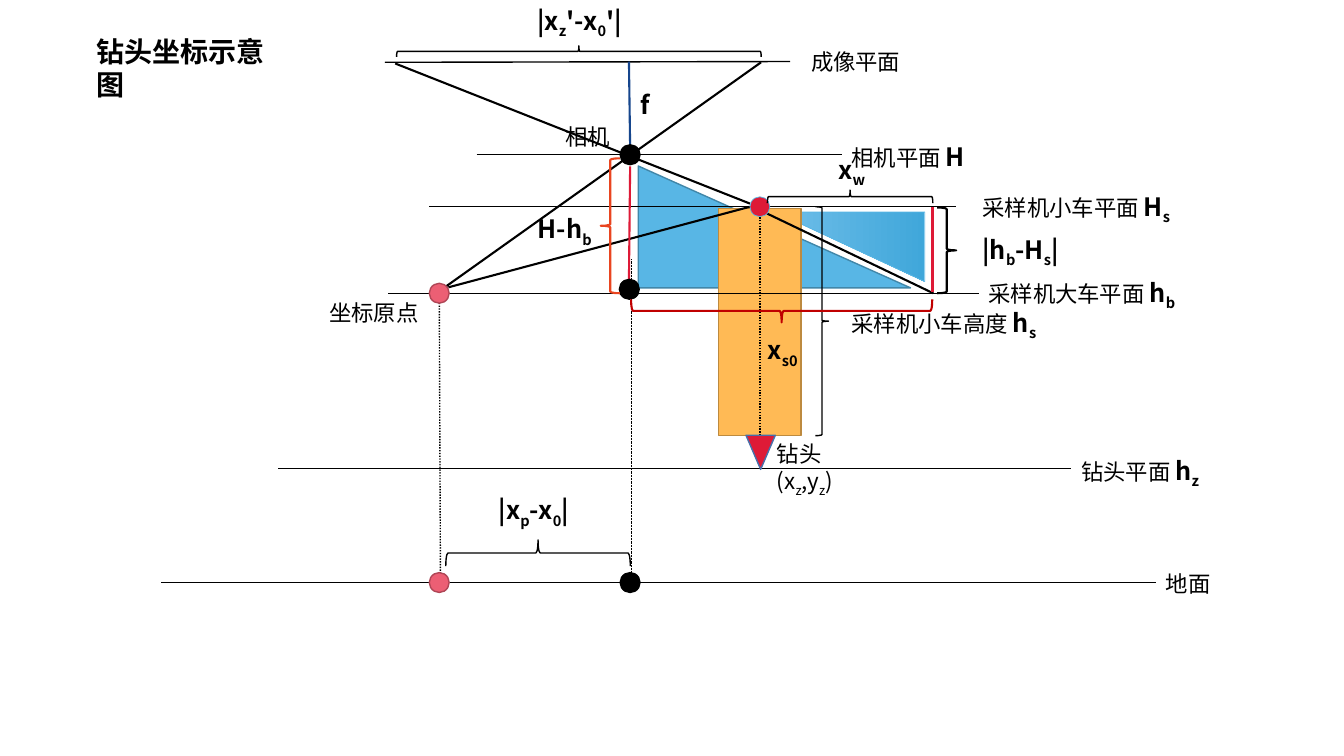
from lxml.etree import SubElement
from pptx import Presentation
from pptx.dml.color import RGBColor
from pptx.enum.dml import MSO_LINE as Dash
from pptx.enum.shapes import MSO_CONNECTOR as Link, MSO_SHAPE as Form
from pptx.enum.text import MSO_AUTO_SIZE as Auto, PP_ALIGN as Align
from pptx.oxml.ns import qn
from pptx.util import Cm, Pt

BLACK = RGBColor(0x00, 0x00, 0x00)
RED = RGBColor(0xDE, 0x1A, 0x37)
CRIMSON = RGBColor(0xC0, 0x00, 0x00)
CORAL = RGBColor(0xE9, 0x45, 0x20)
NAVY = RGBColor(0x16, 0x46, 0x8D)
PINK = RGBColor(0xEC, 0x5F, 0x74)
ROSE = RGBColor(0xAF, 0x46, 0x56)
SKY = RGBColor(0x58, 0xB6, 0xE5)
PALE = RGBColor(0x6F, 0xBE, 0xE9)
DEEP = RGBColor(0x40, 0xA7, 0xDA)
TEAL = RGBColor(0x41, 0x87, 0xA9)
STEEL = RGBColor(0x47, 0x6F, 0xAA)
AMBER = RGBColor(0xFF, 0xBA, 0x55)
BROWN = RGBColor(0xBD, 0x8A, 0x3F)

ARIAL, NOTO = "Arial", "Noto Sans CJK SC"
PLAIN = {"size": Pt(16), "bold": False}
MATH = {"size": Pt(18), "bold": True, "name": NOTO}
TITLE = {"size": Pt(20), "bold": True, "name": ARIAL}

deck = Presentation()
deck.slide_width, deck.slide_height = Cm(33.87), Cm(19.05)
slide = deck.slides.add_slide(deck.slide_layouts[6])
shapes = slide.shapes


def draw(form, box, fill, edge, width=1, turn=0, flip=""):
    shape = shapes.add_shape(form, *map(Cm, box))
    shape.shadow.inherit = False
    shape.rotation = turn
    for axis in flip:
        shape._element.spPr.get_or_add_xfrm().set("flip" + axis, "1")
    if fill is None:
        shape.fill.background()
    else:
        shape.fill.solid()
        shape.fill.fore_color.rgb = fill
    shape.line.color.rgb = edge
    shape.line.width = Pt(width)
    return shape


def write(box, parts, align=Align.LEFT):
    text = shapes.add_textbox(*map(Cm, box)).text_frame
    text.word_wrap = True
    text.auto_size = Auto.SHAPE_TO_FIT_TEXT
    para = text.paragraphs[0]
    para.alignment = align
    for words, style in parts:
        for i, piece in enumerate(words.split("_")):
            if not piece:
                continue
            run = para.add_run()
            run.text = piece
            for key, value in style.items():
                setattr(run.font, key, value)
            run.font.color.rgb = BLACK
            props = run._r.get_or_add_rPr()
            SubElement(props, qn("a:ea")).set("typeface", NOTO)
            if i % 2:
                props.set("baseline", "-25000")


draw(Form.RIGHT_TRIANGLE, (17.98, 2.29, 3.07, 6.86), SKY, TEAL, 1, 270, "V")
wedge = draw(Form.RIGHT_TRIANGLE, (20.55, 4.34, 1.75, 3.76), SKY, SKY, 0.5, 270, "H")
wedge.fill.gradient()
wedge.fill.gradient_angle = 270
for stop, shade in zip(wedge.fill.gradient_stops, (PALE, DEEP)):
    stop.color.rgb = shade
draw(Form.RECTANGLE, (18.11, 5.26, 2.08, 5.72), AMBER, BROWN)

planes = [
    (12.01, 21.21, 3.89), (10.82, 24.08, 5.21), (9.78, 24.66, 7.39),
    (7.01, 27, 11.81), (4.06, 29.13, 14.68),
]
lines = [(left, y, right, y, BLACK, 1, None) for left, right, y in planes]
lines += [
    (9.7, 1.57, 19.91, 1.55, BLACK, 1, None),
    (11.25, 7.21, 19.18, 1.57, BLACK, 1.5, None),
    (18.9, 5.13, 9.96, 1.6, BLACK, 1.5, None),
    (11.3, 7.24, 18.9, 5.21, BLACK, 1.5, None),
    (19.33, 5.38, 23.52, 7.39, BLACK, 1.5, None),
    (15.88, 4.19, 15.85, 7.04, RED, 1.5, None),
    (23.5, 7.37, 23.5, 5.21, RED, 1.5, None),
    (15.88, 3.71, 15.85, 1.55, NAVY, 1.5, None),
    (11.07, 7.42, 11.1, 14.68, BLACK, 1, Dash.ROUND_DOT),
    (15.9, 6.53, 15.9, 14.68, BLACK, 0.5, Dash.ROUND_DOT),
    (19.15, 10.97, 19.15, 5.18, BLACK, 1, Dash.ROUND_DOT),
]
for *ends, shade, width, dash in lines:
    line = shapes.add_connector(Link.STRAIGHT, *map(Cm, ends))
    line.line.color.rgb = shade
    line.line.width = Pt(width)
    if dash:
        line.line.dash_style = dash
    SubElement(line._element.spPr, qn("a:effectLst"))

SIZE = 0.5
for x, y, fill, edge, width in [
    (11.07, 7.39, PINK, ROSE, 1),
    (11.07, 14.68, PINK, ROSE, 1),
    (15.88, 3.9, BLACK, BLACK, 1),
    (15.86, 7.29, BLACK, BLACK, 1),
    (15.88, 14.68, BLACK, BLACK, 1),
    (19.15, 5.21, RED, SKY, 0.5),
]:
    draw(Form.OVAL, (x - SIZE / 2, y - SIZE / 2, SIZE, SIZE), fill, edge, width)
draw(Form.ISOSCELES_TRIANGLE, (18.8, 10.97, 0.74, 0.86), RED, STEEL, flip="V")

for box, *look in [
    ((14.45, -3.3, 0.28, 9.19), BLACK, 1, 270),
    ((13.23, 11.61, 0.66, 4.65), BLACK, 1, 270),
    ((21.26, 2.87, 0.33, 4.17), BLACK, 1, 270),
    ((20.55, 5.21, 0.33, 5.77), BLACK, 1),
    ((19.41, 4.04, 0.58, 7.59), CRIMSON, 1.5, 90, "V"),
    ((15.14, 3.99, 0.48, 3.4), CORAL, 1.5, 180, "V"),
    ((23.62, 5.23, 0.48, 2.16), BLACK, 1.5, 180, "HV"),
]:
    draw(Form.RIGHT_BRACE, box, None, *look)

write((2.18, 0.74, 5.3, 1.12), [("钻头坐标示意图", TITLE)])
for x, y, width, words, math, face in [
    (20.19, 1.09, 3, "成像平面", "", ARIAL),
    (21.21, 3.43, 4.01, "相机平面 ", "H", ARIAL),
    (24.51, 4.7, 5.61, "采样机小车平面 ", "H_s_", ARIAL),
    (24.66, 6.86, 5.69, "采样机大车平面 ", "h_b_", ARIAL),
    (21.21, 7.62, 6.4, "采样机小车高度 ", "h_s_", NOTO),
    (27, 11.35, 4.01, "钻头平面 ", "h_z_", ARIAL),
    (29.13, 14.25, 1.9, "地面", "", ARIAL),
    (14, 2.97, 1.9, "相机", "", ARIAL),
    (8.05, 7.42, 3, "坐标原点", "", ARIAL),
    (19.33, 10.97, 2.9, "钻头(x_z_,y_z_)", "", NOTO),
    (15.88, 2.13, 1, "", "f", NOTO),
    (12.32, 12.34, 2.8, "", "|x_p_-x_0_|", NOTO),
    (19.1, 8.31, 1.78, "", "x_s0_", NOTO),
    (24.51, 5.77, 2.79, "", "|h_b_-H_s_|", NOTO),
    (20.88, 3.76, 1.78, "", "x_w_", NOTO),
]:
    write((x, y, width, 1), [(words, {**PLAIN, "name": face}), (math, MATH)])
for x, y, width, math in [(13.08, 0, 3.05, "|x_z_'-x_0_'|"), (13.08, 5.26, 2.31, "H-h_b_")]:
    write((x, y, width, 1), [(math, MATH)], Align.CENTER)

deck.save("out.pptx")
